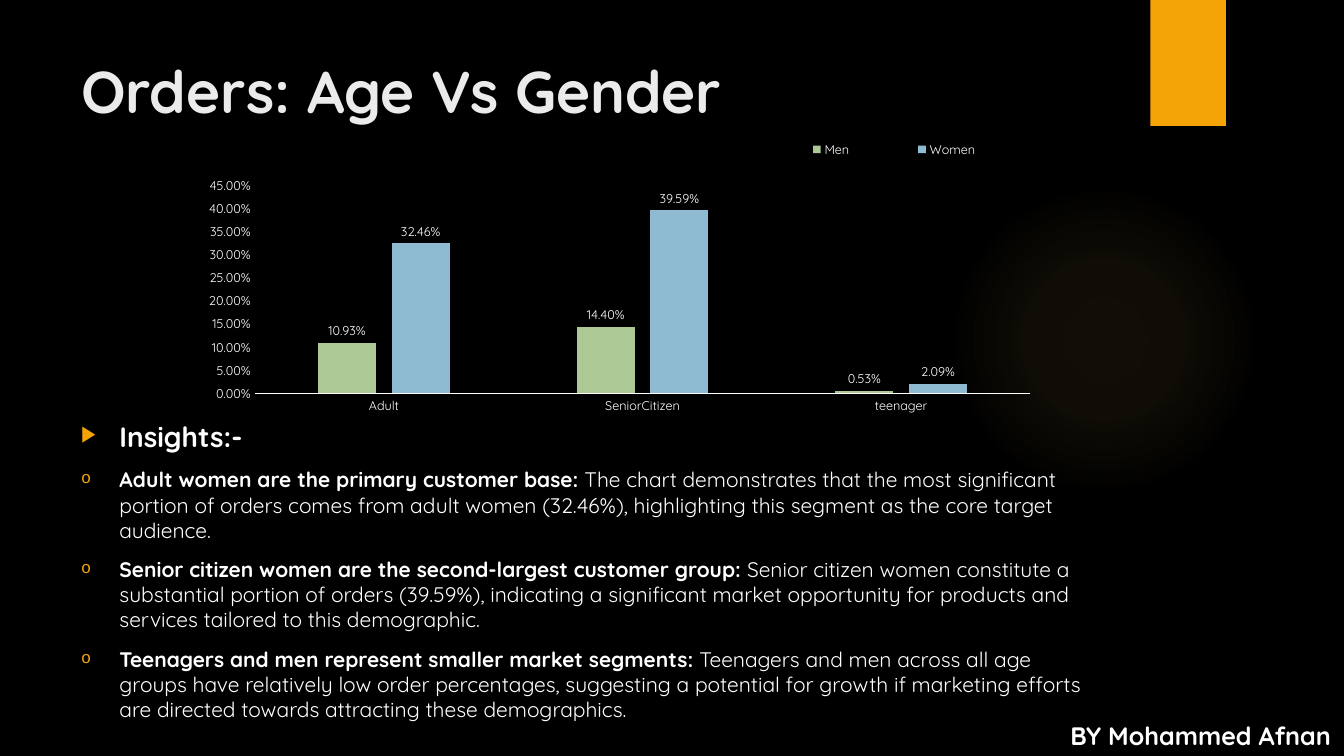
"""Build the slide about orders by age and gender."""
from typing import Any, NamedTuple

from pptx import Presentation, util as u
from pptx.chart.data import CategoryChartData
from pptx.dml.color import RGBColor
from pptx.enum import chart as charts, shapes, text
from pptx.oxml import parse_xml
from pptx.oxml.ns import nsdecls

WIDTH, HEIGHT = u.Inches(13.333), u.Inches(7.5)
FONT = "Quicksand"
COLOURS = {"black": "000000", "white": "FFFFFF", "title": "EBEBEB", "amber": "F5A408",
           "glow": "FAC96A", "men": "ACC995", "women": "8EBBD2"}


class Area(NamedTuple):
    """A box in percent of the slide's width and height."""
    left: float
    top: float
    width: float
    height: float

    def box(self) -> tuple[int, ...]:
        """Give the box in slide units."""
        return tuple(int(share * side / 100) for share, side in zip(self, (WIDTH, HEIGHT) * 2))


class Run(NamedTuple):
    """A piece of text in one format."""
    wording: str
    size: float
    bold: bool = True
    colour: str = "white"


class Insight(NamedTuple):
    """A bulleted paragraph."""
    bullet: str
    runs: list[Run]


class Series(NamedTuple):
    """A set of columns."""
    name: str
    colour: str
    values: list[float]


GLOW = Area(70.58, 24.4, 23.1, 41.07)
TAB = Area(85.6, 0, 5.62, 16.67)
TITLE = Area(5.3, 6.6, 77.18, 12)
BODY = Area(5.3, 54.8, 77.18, 45.2)
CHART = Area(10.2, 15.47, 69.98, 40.93)
CREDIT = Area(78.9, 94.67, 21.1, 5.33)
PLOT_SHARES = Area(0.125, 0.221, 0.825, 0.673)
LEGEND_SHARES = Area(0.65, 0.06, 0.31, 0.09)

CATEGORIES = ["Adult", "SeniorCitizen", "teenager"]
SERIES = [Series("Men", "men", [0.1093, 0.144, 0.0053]),
          Series("Women", "women", [0.3246, 0.3959, 0.0209])]
FINDINGS = [
    ("Adult women are the primary customer base:",
     " The chart demonstrates that the most significant portion of orders comes from adult "
     "women (32.46%), highlighting this segment as the core target audience."),
    ("Senior citizen women are the second-largest customer group:",
     " Senior citizen women constitute a substantial portion of orders (39.59%), indicating a "
     "significant market opportunity for products and services tailored to this demographic."),
    ("Teenagers and men represent smaller market segments:",
     " Teenagers and men across all age groups have relatively low order percentages, "
     "suggesting a potential for growth if marketing efforts are directed towards attracting "
     "these demographics."),
]
INSIGHTS = [Insight("▶", [Run("Insights:-", 20)])] + [
    Insight("o", [Run(lead, 15), Run(detail, 15, False)]) for lead, detail in FINDINGS]


def rgb(name: str) -> RGBColor:
    """Look up a colour by name."""
    return RGBColor.from_string(COLOURS[name])


def assign(target: Any, formats: dict[str, Any]) -> None:
    """Set each attribute of the target from the format values."""
    for name, value in formats.items():
        setattr(target, name, value)


def style_font(font: Any, size: float, bold: bool = False, colour: str = "white") -> None:
    """Set typeface, size, weight and colour."""
    assign(font, {"name": FONT, "size": u.Pt(size), "bold": bold})
    font.color.rgb = rgb(colour)


def add_shape(slide: Any, kind: Any, area: Area, colour: str) -> Any:
    """Draw a plain filled shape."""
    shape = slide.shapes.add_shape(kind, *area.box())
    shape.shadow.inherit = False
    shape.fill.solid()
    shape.fill.fore_color.rgb = rgb(colour)
    shape.line.fill.background()
    return shape


def add_glow(slide: Any) -> None:
    """Draw the faint disc that fades outwards."""
    shape = add_shape(slide, shapes.MSO_SHAPE.OVAL, GLOW, "glow")
    stops = "".join(
        f'<a:gs pos="{place * 1000}"><a:srgbClr val="{COLOURS["glow"]}">'
        f'<a:alpha val="{alpha * 1000}"/></a:srgbClr></a:gs>'
        for place, alpha in ((0, 7), (36, 6), (69, 0)))
    gradient = parse_xml(
        f'<a:gradFill {nsdecls("a")}><a:gsLst>{stops}</a:gsLst><a:path path="circle">'
        '<a:fillToRect l="50000" t="50000" r="50000" b="50000"/></a:path></a:gradFill>')
    properties = shape._element.spPr
    properties.replace(properties.find("{*}solidFill"), gradient)


def add_runs(paragraph: Any, runs: list[Run]) -> None:
    """Write the runs into a paragraph."""
    for item in runs:
        run = paragraph.add_run()
        run.text = item.wording
        style_font(run.font, *item[1:])


def add_text(slide: Any, area: Area, wrap: bool = True) -> Any:
    """Add a text box and return its frame."""
    frame = slide.shapes.add_textbox(*area.box()).text_frame
    assign(frame, {"word_wrap": wrap, "vertical_anchor": text.MSO_ANCHOR.TOP})
    return frame


def add_insights(slide: Any) -> None:
    """Write the bulleted insights."""
    frame = add_text(slide, BODY)
    for index, insight in enumerate(INSIGHTS):
        paragraph = frame.add_paragraph() if index else frame.paragraphs[0]
        paragraph.space_before = u.Pt(10 if index else 0)
        properties = paragraph._p.get_or_add_pPr()
        indent = u.Inches(0.38)
        properties.set("marL", str(indent))
        properties.set("indent", str(-indent))
        for markup in (f'<a:buClr {{}}><a:srgbClr val="{COLOURS["amber"]}"/></a:buClr>',
                       '<a:buSzPct {} val="80000"/>',
                       '<a:buFont {} typeface="Courier New"/>',
                       f'<a:buChar {{}} char="{insight.bullet}"/>'):
            properties.append(parse_xml(markup.format(nsdecls("a"))))
        add_runs(paragraph, insight.runs)


def set_layout(element: Any, shares: Area, target: str = "") -> None:
    """Fix the place of a chart part in shares of the chart."""
    for old in element.findall("{*}layout"):
        element.remove(old)
    inner = f'<c:layoutTarget val="{target}"/>' if target else ""
    modes = '<c:xMode val="edge"/><c:yMode val="edge"/>'
    sides = "".join(f'<c:{side} val="{share}"/>' for side, share in zip("xywh", shares))
    layout = parse_xml(f'<c:layout {nsdecls("c")}><c:manualLayout>{inner}{modes}{sides}'
                       '</c:manualLayout></c:layout>')
    position = element.find("{*}legendPos")
    element.insert(0 if position is None else element.index(position) + 1, layout)


def add_orders_chart(slide: Any) -> None:
    """Draw the clustered columns with labels and legend."""
    data = CategoryChartData(number_format="0.00%")
    data.categories = CATEGORIES
    for series in SERIES:
        data.add_series(series.name, series.values)
    kind = charts.XL_CHART_TYPE.COLUMN_CLUSTERED
    chart = slide.shapes.add_chart(kind, *CHART.box(), data).chart
    assign(chart, {"has_title": False, "has_legend": True})
    style_font(chart.font, 10)
    plot = chart.plots[0]
    assign(plot, {"gap_width": 219, "overlap": -27, "vary_by_categories": False})
    for axis in (chart.category_axis, chart.value_axis):
        assign(axis, {"has_major_gridlines": False,
                      "major_tick_mark": charts.XL_TICK_MARK.NONE,
                      "minor_tick_mark": charts.XL_TICK_MARK.NONE})
        style_font(axis.tick_labels.font, 9)
    line = chart.category_axis.format.line
    line.color.rgb, line.width = rgb("white"), u.Pt(0.75)
    assign(chart.value_axis, {"minimum_scale": 0, "maximum_scale": 0.45, "major_unit": 0.05})
    chart.value_axis.format.line.fill.background()
    number = {"number_format": "0.00%", "number_format_is_linked": False}
    assign(chart.value_axis.tick_labels, number)
    for columns, series in zip(plot.series, SERIES):
        columns.format.fill.solid()
        columns.format.fill.fore_color.rgb = rgb(series.colour)
        labels = columns.data_labels
        assign(labels, number | {"show_value": True,
                                 "position": charts.XL_LABEL_POSITION.OUTSIDE_END})
        style_font(labels.font, 9)
    assign(chart.legend, {"position": charts.XL_LEGEND_POSITION.RIGHT,
                          "include_in_layout": False})
    style_font(chart.legend.font, 9)
    set_layout(chart.legend._element, LEGEND_SHARES)
    set_layout(chart._chartSpace.chart.plotArea, PLOT_SHARES, "inner")


def main() -> None:
    """Build and save the presentation."""
    presentation = Presentation()
    assign(presentation, {"slide_width": WIDTH, "slide_height": HEIGHT})
    slide = presentation.slides.add_slide(presentation.slide_layouts[6])
    slide.background.fill.solid()
    slide.background.fill.fore_color.rgb = rgb("black")
    add_glow(slide)
    add_shape(slide, shapes.MSO_SHAPE.RECTANGLE, TAB, "amber")
    for area, run in ((TITLE, Run("Orders: Age Vs Gender", 42, True, "title")),
                      (CREDIT, Run("BY Mohammed Afnan", 18))):
        add_runs(add_text(slide, area, wrap=area is TITLE).paragraphs[0], [run])
    add_insights(slide)
    add_orders_chart(slide)
    presentation.save("out.pptx")


if __name__ == "__main__":
    main()
